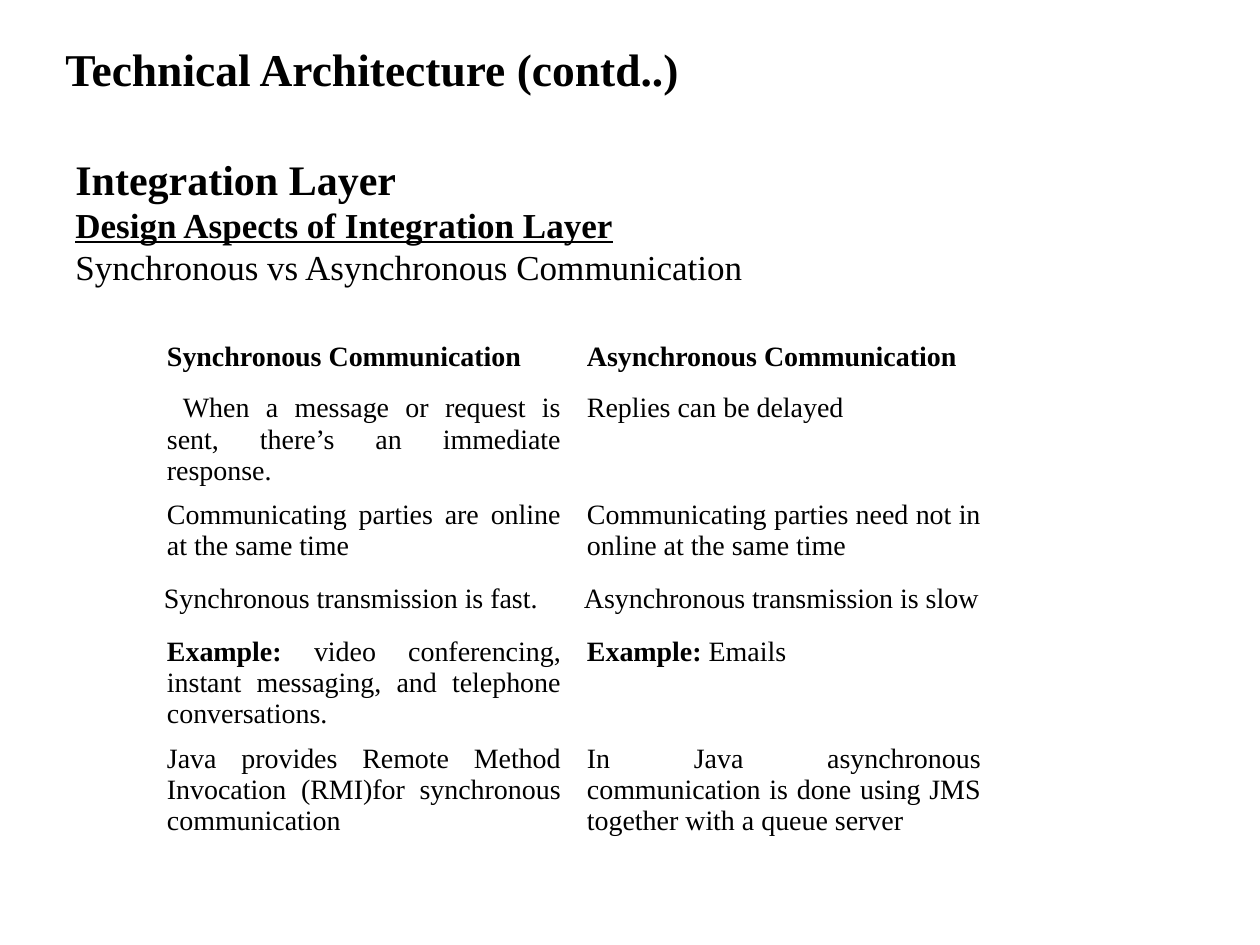
"""Build the slide comparing synchronous and asynchronous communication."""
import pptx
import pptx.dml.color
import pptx.enum.text
import pptx.util

FONT = "Times New Roman"
BLACK = pptx.dml.color.RGBColor(0, 0, 0)
JUSTIFY = pptx.enum.text.PP_ALIGN.JUSTIFY
LEFT = pptx.enum.text.PP_ALIGN.LEFT
MIDDLE = pptx.enum.text.MSO_ANCHOR.MIDDLE
TOP = pptx.enum.text.MSO_ANCHOR.TOP
PX = pptx.util.Inches(1) // 126

TITLE = "Technical Architecture (contd..)"
HEADINGS = [
    ("Integration Layer", 24, True, False),
    ("Design Aspects of Integration Layer", 20, True, True),
    ("Synchronous vs Asynchronous Communication", 20, False, False),
]
LABEL = "Example: "
ROWS = [
    ("Synchronous Communication", "Asynchronous Communication"),
    (" When a message or request is sent, there’s an immediate response.",
     "Replies can be delayed"),
    ("Communicating parties are online at the same time",
     "Communicating parties need not in online at the same time"),
    ("Synchronous transmission is fast. ", "Asynchronous transmission is slow"),
    (LABEL + "video conferencing, instant messaging, and telephone conversations.",
     LABEL + "Emails"),
    ("Java provides Remote Method Invocation (RMI)for synchronous communication",
     "In Java asynchronous communication is done using JMS together with a queue server"),
]
HEADER_ROW, PADDED_ROW = 0, 3
COLUMN_WIDTH, ROW_HEIGHT = 420, 51


def style(para, size, bold=False, underline=False, align=JUSTIFY):
    para.alignment = align
    para.font.name = FONT
    para.font.size = pptx.util.Pt(size)
    para.font.bold = bold
    para.font.underline = underline
    para.font.color.rgb = BLACK


def add_box(page, left, top, width, height, anchor, lines, align):
    box = page.shapes.add_textbox(left * PX, top * PX, width * PX, height * PX)
    frame = box.text_frame
    frame.word_wrap = True
    frame.vertical_anchor = anchor
    for index, (text, size, bold, underline) in enumerate(lines):
        para = frame.add_paragraph() if index else frame.paragraphs[0]
        para.text = text
        style(para, size, bold, underline, align)


def fill_cell(cell, text, row):
    cell.fill.background()
    if row == PADDED_ROW:
        cell.vertical_anchor = MIDDLE
        cell.margin_left = cell.margin_right = 10 * PX
        cell.margin_top = cell.margin_bottom = 15 * PX
    else:
        cell.margin_left = cell.margin_right = 13 * PX
        cell.margin_top = 6 * PX
        cell.margin_bottom = 0
    para = cell.text_frame.paragraphs[0]
    header = row == HEADER_ROW
    style(para, 16, header, align=LEFT if header else JUSTIFY)
    if text.startswith(LABEL):
        span = para.add_run()
        span.text = LABEL
        span.font.bold = True
        text = text.removeprefix(LABEL)
    para.add_run().text = text


def main():
    deck = pptx.Presentation()
    deck.slide_width, deck.slide_height = 1260 * PX, 945 * PX
    page = deck.slides.add_slide(deck.slide_layouts[6])
    add_box(page, 53, 21, 977, 95, MIDDLE, [(TITLE, 26, True, False)], LEFT)
    add_box(page, 63, 147, 1092, 746, TOP, HEADINGS, JUSTIFY)
    table = page.shapes.add_table(
        len(ROWS), 2, 154 * PX, 336 * PX,
        2 * COLUMN_WIDTH * PX, len(ROWS) * ROW_HEIGHT * PX).table
    table.first_row = table.horz_banding = False
    for row, texts in enumerate(ROWS):
        for column, text in enumerate(texts):
            fill_cell(table.cell(row, column), text, row)
    deck.save("out.pptx")


if __name__ == "__main__":
    main()
